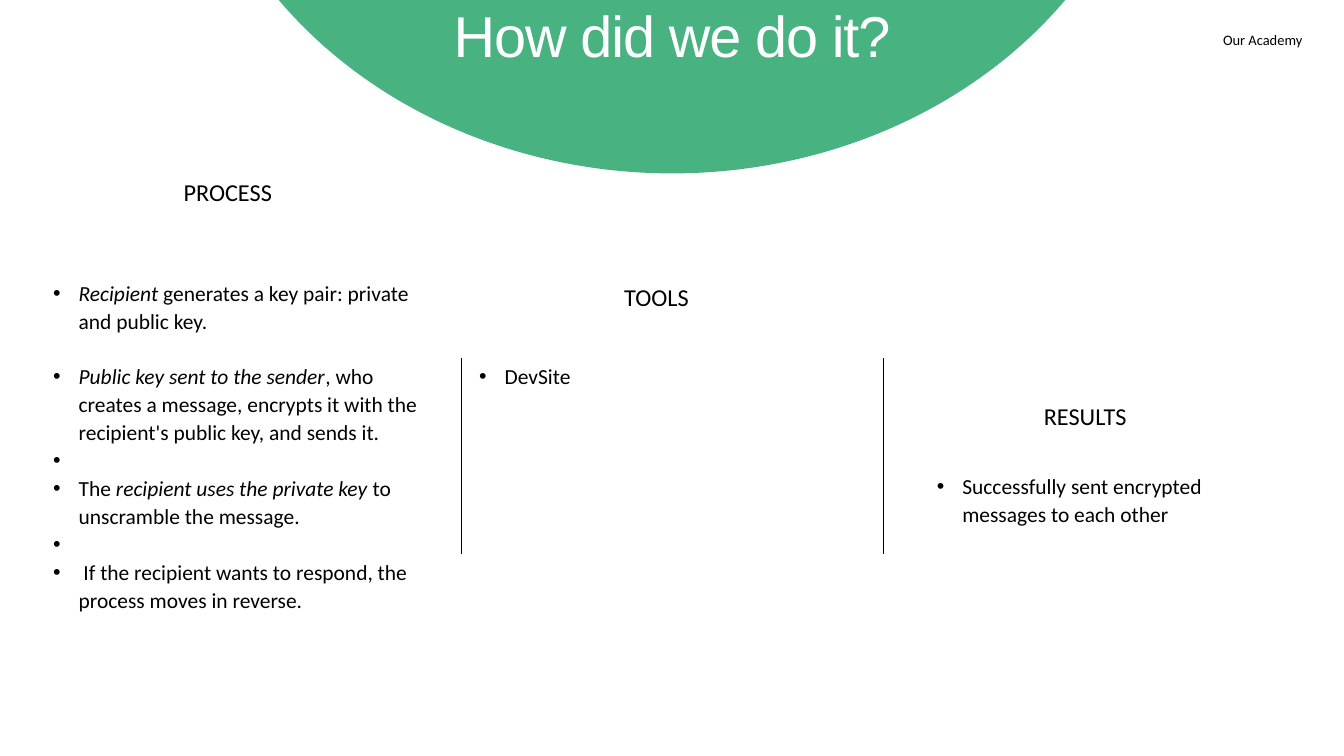
from dataclasses import dataclass

from lxml import etree
from pptx import Presentation
from pptx import util as u
from pptx.dml.color import RGBColor
from pptx.enum import shapes, text
from pptx.oxml import ns


@dataclass(frozen=True)
class Theme:
    green: str = "48B281"
    ink: str = "000000"
    paper: str = "FFFFFF"
    title_font: str = "Arial"
    body_font: str = "Calibri"
    title: float = 61.7
    heading: float = 26
    body: float = 23
    label: float = 15.5
    leading: float = 1.3
    title_leading: float = 1.2
    rule: float = 0.75


THEME = Theme()
COLUMNS, ROWS = 20, 11.25
CELL = u.Inches(1)
INDENT = 0.38

PROCESS = [
    [("Recipient ", True), ("generates a key pair: private and public key.", False)],
    [("Public key sent to the sender", True),
     (", who creates a message, encrypts it with the recipient's public key, and sends it.", False)],
    [(" ", False)],
    [("The ", False), ("recipient uses the private key ", True), ("to unscramble the message.", False)],
    [(" ", False)],
    [(" If the recipient wants to respond, the process moves in reverse.", False)],
]
TOOLS = [[("DevSite", False)]]
RESULTS = [[("Successfully sent encrypted messages to each other", False)]]


def grid(*cells):
    return [u.Emu(round(cell * CELL)) for cell in cells]


def add_bullet(paragraph):
    properties = paragraph._p.get_or_add_pPr()
    indent, = grid(INDENT)
    properties.set("marL", str(indent))
    properties.set("indent", str(-indent))
    colour = etree.SubElement(properties, ns.qn("a:buClr"))
    etree.SubElement(colour, ns.qn("a:srgbClr"), val=THEME.ink)
    etree.SubElement(properties, ns.qn("a:buFont"), typeface=THEME.title_font)
    etree.SubElement(properties, ns.qn("a:buChar"), char="•")


def add_text(slide, box, paragraphs, size=THEME.body, font=THEME.body_font, colour=THEME.ink,
             align=text.PP_ALIGN.LEFT, leading=THEME.leading, bullets=False, gaps=(), tracking=0):
    frame = slide.shapes.add_textbox(*grid(*box)).text_frame
    frame.word_wrap = True
    frame.margin_left = frame.margin_top = frame.margin_right = frame.margin_bottom = 0
    line = u.Pt(round(size * leading, 1))
    for index, runs in enumerate(paragraphs):
        paragraph = frame.paragraphs[0] if index == 0 else frame.add_paragraph()
        if bullets:
            add_bullet(paragraph)
        paragraph.alignment = align
        paragraph.line_spacing = line
        if index in gaps:
            paragraph.space_before = line
        for words, italic in runs:
            run = paragraph.add_run()
            run.text = words
            run.font.name = font
            run.font.size = u.Pt(size)
            run.font.italic = italic
            run.font.color.rgb = RGBColor.from_string(colour)
            if tracking:
                run._r.get_or_add_rPr().set("spc", str(round(tracking * 100)))


def add_header(slide, box):
    left, top, width, height = box
    dome = slide.shapes.add_shape(shapes.MSO_SHAPE.OVAL, *grid(*box))
    dome.shadow.inherit = False
    dome.fill.solid()
    dome.fill.fore_color.rgb = RGBColor.from_string(THEME.green)
    dome.line.fill.background()
    title_width = 8.21
    add_text(slide, (left + (width - title_width) / 2, 0, title_width, 1.04),
             [[("How did we do it?", False)]], size=THEME.title, font=THEME.title_font,
             colour=THEME.paper, align=text.PP_ALIGN.CENTER, leading=THEME.title_leading,
             tracking=-1.2)


def add_divider(slide, box):
    left, top, width, height = box
    divider = slide.shapes.add_connector(
        shapes.MSO_CONNECTOR.STRAIGHT, *grid(left, top, left + width, top + height))
    divider.line.color.rgb = RGBColor.from_string(THEME.ink)
    divider.line.width = u.Pt(THEME.rule)
    etree.SubElement(divider._element.spPr, ns.qn("a:effectLst"))


def add_topic(slide, box, heading, points, drop, shift=0, gaps=()):
    left, top, width, height = box
    add_text(slide, (left + shift, top + drop, width, height - drop), points,
             bullets=True, gaps=gaps)
    add_text(slide, (left, top, 5.2, 0.47), [[(heading, False)]],
             size=THEME.heading, align=text.PP_ALIGN.CENTER)


def add_label(slide, box):
    add_text(slide, box, [[("Our Academy", False)]], size=THEME.label, leading=1.4)


def main():
    deck = Presentation()
    deck.slide_width, deck.slide_height = grid(COLUMNS, ROWS)
    slide = deck.slides.add_slide(deck.slide_layouts[6])
    add_header(slide, (2.72, -10.16, 14.56, 12.74))
    for left in (6.86, COLUMNS - 6.86):
        add_divider(slide, (left, 5.33, 0, 2.92))
    add_topic(slide, (0.79, 2.6, 5.75, 7.35), "PROCESS", PROCESS, drop=1.53, gaps=(1,))
    add_topic(slide, (7.17, 4.17, 5.2, 2.03), "TOOLS", TOOLS, drop=1.2, shift=-0.04)
    add_topic(slide, (13.55, 5.94, 5.2, 2.73), "RESULTS", RESULTS, drop=1.07, shift=0.39)
    add_label(slide, (18.2, 0.42, 1.8, 0.3))
    deck.save("out.pptx")


if __name__ == "__main__":
    main()
